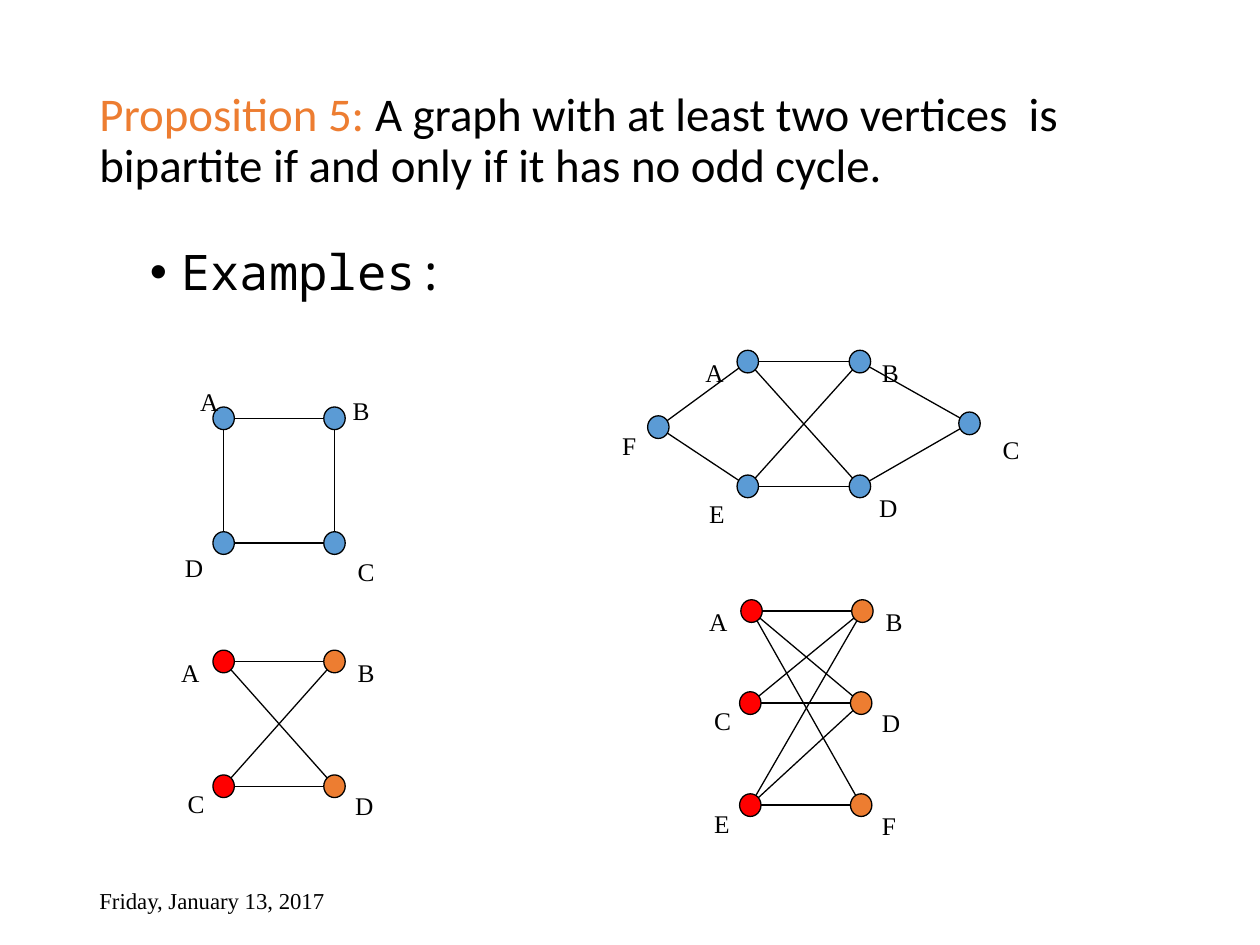
from dataclasses import dataclass

from lxml.etree import SubElement
from pptx import Presentation
from pptx.dml.color import RGBColor
from pptx.enum.shapes import MSO_CONNECTOR, MSO_SHAPE
from pptx.enum.text import MSO_ANCHOR
from pptx.oxml.ns import qn
from pptx.util import Inches, Pt

BLACK = RGBColor(0x00, 0x00, 0x00)
BLUE = RGBColor(0x5B, 0x9B, 0xD5)
RED = RGBColor(0xFF, 0x00, 0x00)
ORANGE = RGBColor(0xED, 0x7D, 0x31)

SERIF = "Times New Roman"
DOT_W, DOT_H = 0.17, 0.18
LABEL_W, LABEL_H = 0.4, 0.38
THIN = Pt(0.75)


@dataclass
class Node:
    """A vertex: top left of its dot, then top left of its label."""
    x: float
    y: float
    label_x: float
    label_y: float
    fill: RGBColor = BLUE

    @property
    def centre(self) -> tuple:
        return Inches(self.x + DOT_W / 2), Inches(self.y + DOT_H / 2)


@dataclass
class Graph:
    nodes: dict[str, Node]
    edges: str


SQUARE = Graph({
    "A": Node(1.69, 3.23, 1.49, 2.81),
    "B": Node(2.57, 3.23, 2.70, 2.88),
    "C": Node(2.57, 4.22, 2.74, 4.16),
    "D": Node(1.69, 4.22, 1.37, 4.13),
}, "AB BC CD DA")

SPLIT_SQUARE = Graph({
    "A": Node(1.69, 5.16, 1.34, 4.96, RED),
    "B": Node(2.57, 5.16, 2.74, 4.96, ORANGE),
    "C": Node(1.69, 6.15, 1.39, 6.00, RED),
    "D": Node(2.57, 6.15, 2.72, 6.02, ORANGE),
}, "AB CD AD CB")

HEXAGON = Graph({
    "A": Node(5.85, 2.78, 5.50, 2.58),
    "B": Node(6.74, 2.78, 6.90, 2.58),
    "C": Node(7.61, 3.27, 7.86, 3.19),
    "D": Node(6.74, 3.77, 6.88, 3.65),
    "E": Node(5.85, 3.77, 5.53, 3.70),
    "F": Node(5.14, 3.30, 4.84, 3.16),
}, "AB ED AD EB DC EF FA BC")

SPLIT_HEXAGON = Graph({
    "A": Node(5.88, 4.76, 5.53, 4.56, RED),
    "B": Node(6.76, 4.76, 6.93, 4.56, ORANGE),
    "C": Node(5.87, 5.49, 5.57, 5.34, RED),
    "D": Node(6.75, 5.49, 6.90, 5.36, ORANGE),
    "E": Node(5.87, 6.30, 5.57, 6.16, RED),
    "F": Node(6.75, 6.30, 6.90, 6.18, ORANGE),
}, "AB CD EF AD AF CB EB ED")


def add_text(slide, runs: list[tuple[str, RGBColor]], x: float, y: float,
             w: float, h: float, *, font: str, size: float,
             anchor=MSO_ANCHOR.TOP, spacing: float = 1.0,
             bullet: str = "", baseline: int = 0) -> None:
    """Add one paragraph of coloured runs; baseline is a percentage shift."""
    box = slide.shapes.add_textbox(Inches(x), Inches(y), Inches(w), Inches(h))
    frame = box.text_frame
    frame.word_wrap = True
    frame.vertical_anchor = anchor
    para = frame.paragraphs[0]
    para.line_spacing = spacing
    if bullet:
        props = para._p.get_or_add_pPr()
        props.set("marL", str(Inches(0.25)))
        props.set("indent", str(Inches(-0.25)))
        SubElement(props, qn("a:buFont"), typeface="Arial")
        SubElement(props, qn("a:buChar"), char=bullet)
    for text, color in runs:
        run = para.add_run()
        run.text = text
        run.font.name = font
        run.font.size = Pt(size)
        run.font.color.rgb = color
        if baseline:
            run.font._element.set("baseline", str(baseline * 1000))


def add_edge(slide, start: Node, end: Node) -> None:
    line = slide.shapes.add_connector(
        MSO_CONNECTOR.STRAIGHT, *start.centre, *end.centre)
    line.line.color.rgb = BLACK
    line.line.width = THIN
    SubElement(line._element.spPr, qn("a:effectLst"))


def add_dot(slide, node: Node) -> None:
    dot = slide.shapes.add_shape(
        MSO_SHAPE.OVAL, Inches(node.x), Inches(node.y),
        Inches(DOT_W), Inches(DOT_H))
    dot.shadow.inherit = False
    dot.fill.solid()
    dot.fill.fore_color.rgb = node.fill
    dot.line.color.rgb = BLACK
    dot.line.width = THIN


def add_graph(slide, graph: Graph) -> None:
    for start, end in graph.edges.split():
        add_edge(slide, graph.nodes[start], graph.nodes[end])
    for name, node in graph.nodes.items():
        add_dot(slide, node)
        add_text(slide, [(name, BLACK)], node.label_x, node.label_y,
                 LABEL_W, LABEL_H, font=SERIF, size=25.1, baseline=-16)


def main() -> None:
    deck = Presentation()
    deck.slide_width, deck.slide_height = Inches(10), Inches(7.5)
    slide = deck.slides.add_slide(deck.slide_layouts[6])

    add_text(slide, [
        ("Proposition 5: ", ORANGE),
        ("A graph with at least two vertices  is bipartite if and only if "
         "it has no odd cycle.", BLACK),
    ], 0.69, 0.4, 8.62, 1.45, font="Calibri", size=26.8,
        anchor=MSO_ANCHOR.MIDDLE, spacing=0.9)
    add_text(slide, [("Examples:", BLACK)], 1.09, 1.92, 7.82, 0.55,
             font="Noto Sans Mono", size=28, spacing=0.9, bullet="•")
    for graph in (SQUARE, SPLIT_SQUARE, HEXAGON, SPLIT_HEXAGON):
        add_graph(slide, graph)
    add_text(slide, [("Friday, January 13, 2017", BLACK)],
             0.69, 6.95, 2.25, 0.4, font=SERIF, size=13,
             anchor=MSO_ANCHOR.MIDDLE)

    deck.save("out.pptx")


if __name__ == "__main__":
    main()
